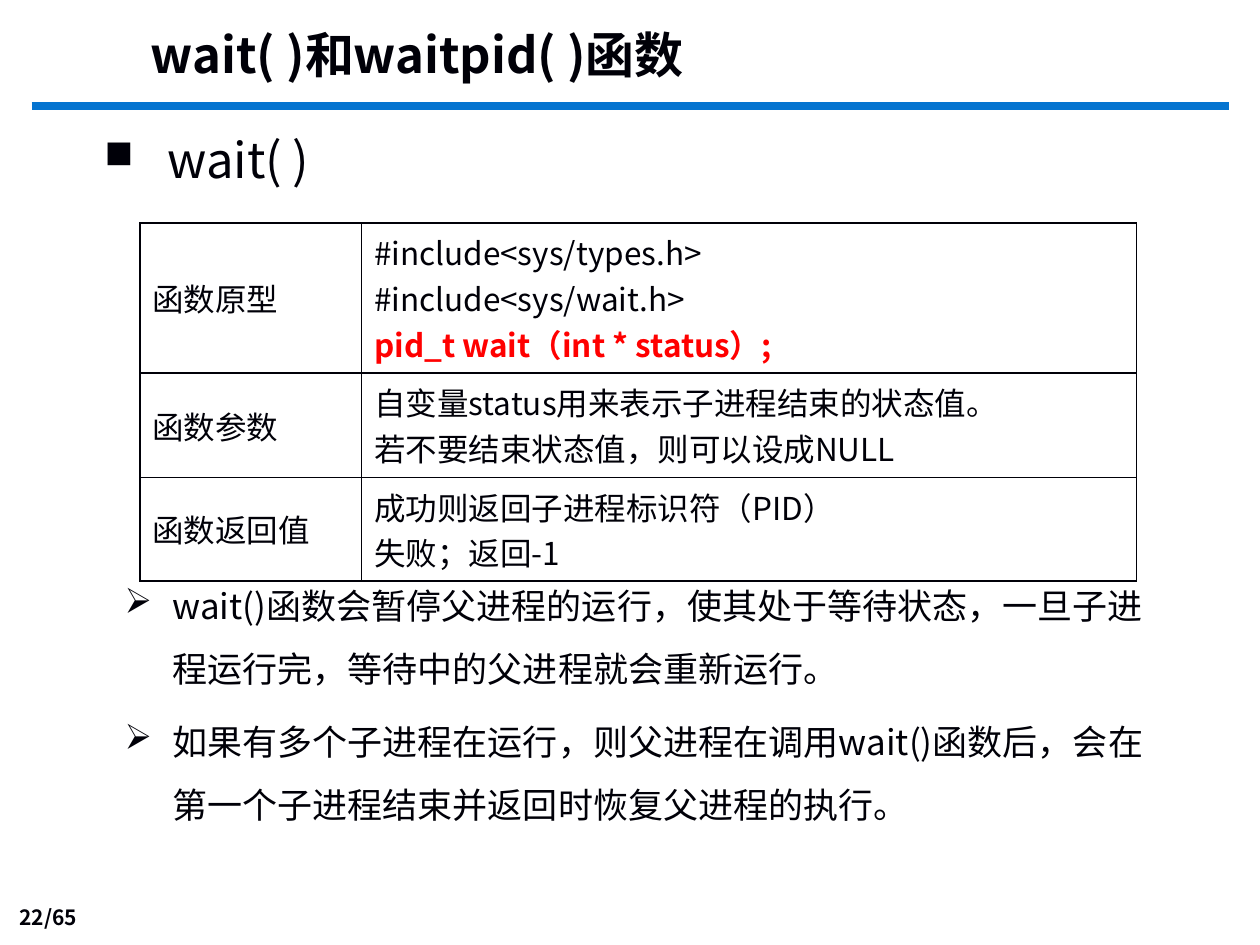
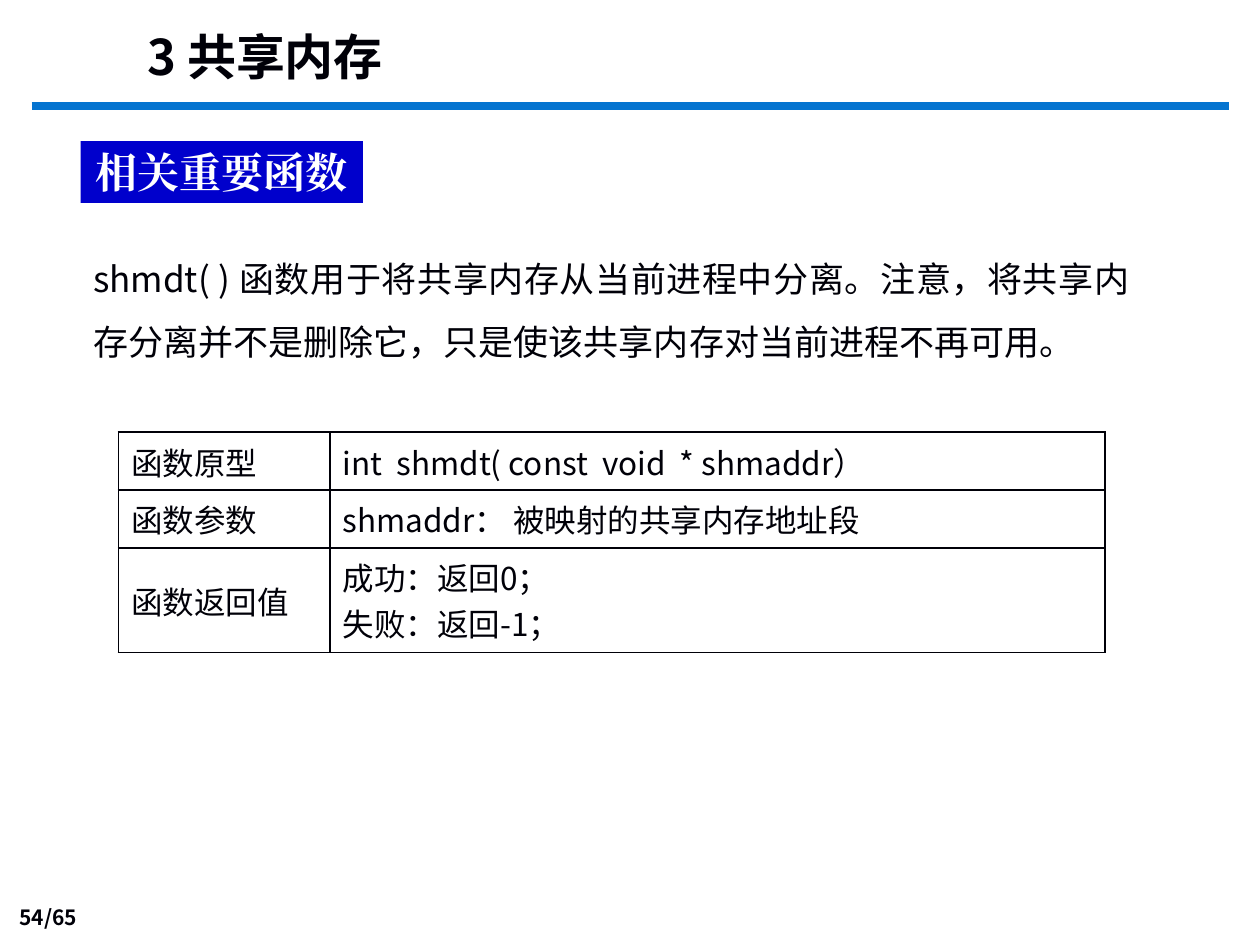
from pptx import Presentation
from pptx.dml.color import RGBColor
from pptx.enum.shapes import MSO_CONNECTOR, MSO_SHAPE
from pptx.enum.text import MSO_ANCHOR as ANCHOR, PP_ALIGN as ALIGN
from pptx.oxml.xmlchemy import OxmlElement
from pptx.util import Inches, Pt

color = RGBColor.from_string
INK, RULE, LABEL, ALERT, WHITE = "000008", "0574D0", "0000CC", "FF0000", "FFFFFF"
FONT = "Noto Sans CJK SC"


def write(frame, text, size=20, ink=INK, bold=False, font=FONT, align=ALIGN.LEFT,
          anchor=ANCHOR.TOP, spacing=None, before=0, bullet=None, indent=0,
          bullet_size=100, alerts=()):
    """Fill a text frame, one paragraph per line; lines in alerts are bold red."""
    frame.word_wrap = True
    frame.vertical_anchor = anchor
    for number, line in enumerate(text.split("\n")):
        paragraph = frame.add_paragraph() if number else frame.paragraphs[0]
        paragraph.alignment = align
        if spacing:
            paragraph.line_spacing = spacing
        if number and before:
            paragraph.space_before = Pt(before)
        if bullet:
            props = paragraph._p.get_or_add_pPr()
            props.set("marL", str(Inches(indent)))
            props.set("indent", str(-Inches(indent)))
            for tag, key, value in (("a:buSzPct", "val", str(bullet_size * 1000)),
                                    ("a:buChar", "char", bullet)):
                mark = OxmlElement(tag)
                mark.set(key, value)
                props.append(mark)
        run = paragraph.add_run()
        run.text = line
        run.font.size = Pt(size)
        run.font.bold = bold or line in alerts
        run.font.color.rgb = color(ALERT if line in alerts else ink)
        run.font.name = font
        east_asian = OxmlElement("a:ea")
        east_asian.set("typeface", font)
        run._r.get_or_add_rPr().append(east_asian)


def add_text(slide, text, left, top, width, height, **text_format):
    box = slide.shapes.add_textbox(Inches(left), Inches(top), Inches(width), Inches(height))
    write(box.text_frame, text, **text_format)


deck = Presentation()
deck.slide_width, deck.slide_height = Inches(10), Inches(7.5)

PROTOTYPE = "pid_t wait（int * status）;"
pages = [
    dict(title="wait( )和waitpid( )函数", title_at=(1.1, 0.12, 4.93, 0.62), page="22/65",
         table_at=(1.11, 1.77), columns=(1.76, 6.15), heights=(1.19, 0.83, 0.82),
         details=("#include<sys/types.h>\n#include<sys/wait.h>\n" + PROTOTYPE,
                  "自变量status用来表示子进程结束的状态值。\n若不要结束状态值，则可以设成NULL",
                  "成功则返回子进程标识符（PID）\n失败；返回-1")),
    dict(title="3 共享内存", title_at=(1.07, 0.13, 4.03, 0.62), page="54/65",
         table_at=(0.94, 3.43), columns=(1.68, 6.15), heights=(0.46, 0.46, 0.83),
         details=("int  shmdt( const  void  * shmaddr）",
                  "shmaddr： 被映射的共享内存地址段",
                  "成功：返回0；\n失败：返回-1；")),
]

# Shared parts: title, rule, page number and function table
for page in pages:
    slide = deck.slides.add_slide(deck.slide_layouts[6])
    add_text(slide, page["title"], *page["title_at"], size=28, bold=True, anchor=ANCHOR.MIDDLE)
    add_text(slide, page["page"], 0, 7.14, 0.71, 0.29, size=12, bold=True,
             font="Noto Sans CJK JP", align=ALIGN.RIGHT, anchor=ANCHOR.BOTTOM)

    rule = slide.shapes.add_connector(MSO_CONNECTOR.STRAIGHT, Inches(0.25), Inches(0.84),
                                      Inches(9.75), Inches(0.84))
    rule.line.color.rgb = color(RULE)
    rule.line.width = Pt(4.5)
    rule._element.spPr.append(OxmlElement("a:effectLst"))

    left, top = page["table_at"]
    table = slide.shapes.add_table(3, 2, Inches(left), Inches(top),
                                   Inches(sum(page["columns"])),
                                   Inches(sum(page["heights"]))).table
    table.first_row = table.horz_banding = False
    for column, width in zip(table.columns, page["columns"]):
        column.width = Inches(width)
    rows = zip(table.rows, page["heights"], ("函数原型", "函数参数", "函数返回值"), page["details"])
    for row, height, heading, detail in rows:
        row.height = Inches(height)
        for cell, text, anchor in zip(row.cells, (heading, detail), (ANCHOR.MIDDLE, ANCHOR.TOP)):
            write(cell.text_frame, text, size=18, alerts=(PROTOTYPE,))
            cell.vertical_anchor = anchor
            for side in ("a:lnL", "a:lnR", "a:lnT", "a:lnB"):
                border = OxmlElement(side)
                border.set("w", str(Pt(1)))
                fill = OxmlElement("a:solidFill")
                border_ink = OxmlElement("a:srgbClr")
                border_ink.set("val", INK)
                fill.append(border_ink)
                border.append(fill)
                cell._tc.get_or_add_tcPr().append(border)
            cell.fill.background()

wait_slide, shmdt_slide = deck.slides

# wait( )
add_text(wait_slide, "wait( )", 0.73, 0.95, 4.93, 0.62, size=28, anchor=ANCHOR.MIDDLE,
         bullet="■", bullet_size=80, indent=0.5)
add_text(wait_slide,
         "wait()函数会暂停父进程的运行，使其处于等待状态，一旦子进程运行完，等待中的父进程就会重新运行。\n"
         "如果有多个子进程在运行，则父进程在调用wait()函数后，会在第一个子进程结束并返回时恢复父进程的执行。",
         0.89, 4.42, 8.35, 2.2, spacing=1.5, before=6, bullet="➢", indent=0.38)

# shmdt( )
add_text(shmdt_slide,
         "shmdt( ) 函数用于将共享内存从当前进程中分离。注意，将共享内存分离并不是删除它，"
         "只是使该共享内存对当前进程不再可用。",
         0.64, 1.83, 8.42, 0.99, spacing=1.5, align=ALIGN.JUSTIFY)
label = shmdt_slide.shapes.add_shape(MSO_SHAPE.RECTANGLE, Inches(0.64), Inches(1.12),
                                     Inches(2.24), Inches(0.49))
label.shadow.inherit = False
label.fill.solid()
label.fill.fore_color.rgb = color(LABEL)
label.line.fill.background()
write(label.text_frame, "相关重要函数", size=24, ink=WHITE, bold=True,
      font="Times New Roman", align=ALIGN.CENTER, anchor=ANCHOR.MIDDLE)

deck.save("out.pptx")
